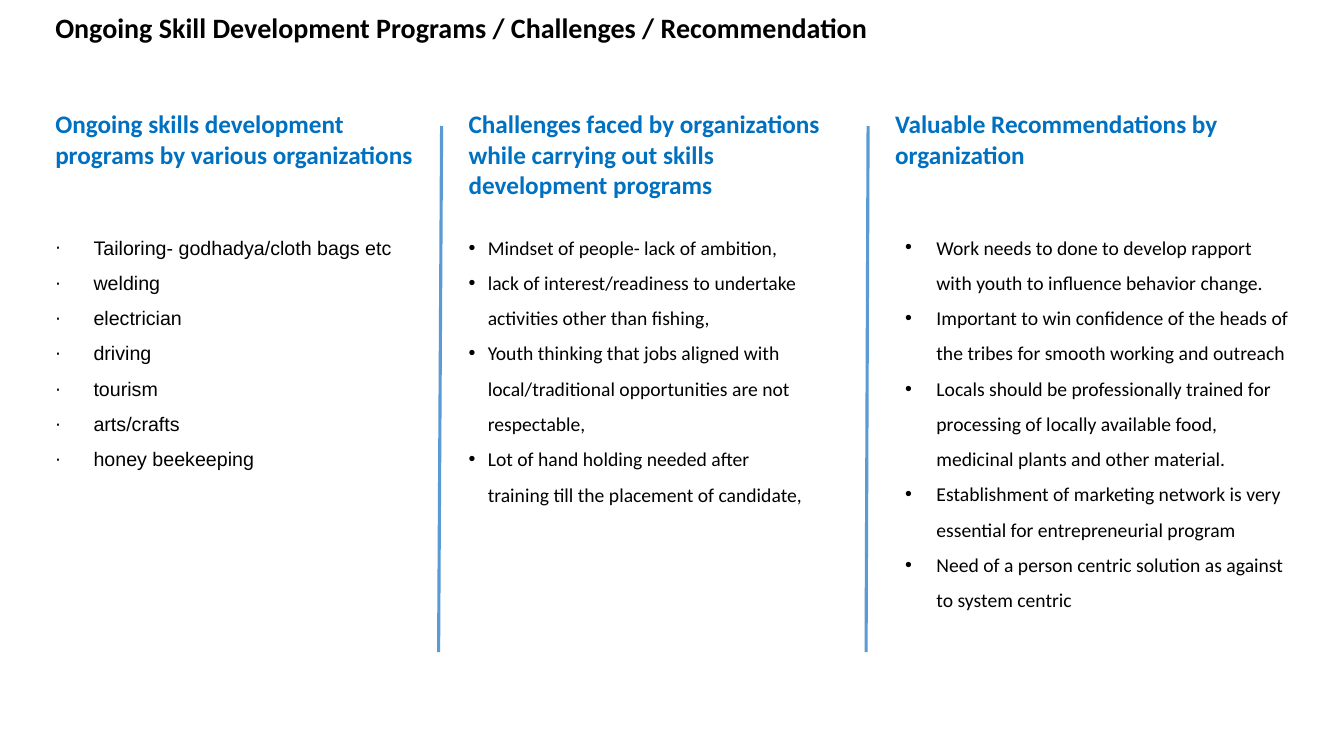
import lxml.etree
import pptx
import pptx.dml.color
import pptx.enum.shapes
import pptx.enum.text
import pptx.oxml.ns
import pptx.util

PX = 9144  # EMU in one px, 100 px to the inch
COLORS = {"text": "000000", "heading": "0070C0", "divider": "5B9BD5"}
ALIGN = pptx.enum.text.PP_ALIGN
HEADING_TOP, LIST_TOP = 103, 217
DIVIDER_TOP, DIVIDER_BOTTOM = 125, 647

COLUMNS = [
    dict(
        heading=["Ongoing skills development", "programs by various organizations"],
        heading_box=(45, HEADING_TOP, 376, 71),
        list_box=(45, LIST_TOP, 376, 364),
        items=[
            "Tailoring- godhadya/cloth bags etc",
            "welding",
            "electrician",
            "driving",
            "tourism",
            "arts/crafts",
            "honey beekeeping",
        ],
        bullet="∙", indent=38, font="Arial", align=ALIGN.JUSTIFY,
    ),
    dict(
        heading=["Challenges faced by organizations while carrying out skills development programs"],
        heading_box=(455, HEADING_TOP, 376, 101),
        list_box=(455, LIST_TOP, 356, 399),
        items=[
            "Mindset of people- lack of ambition,",
            "lack of interest/readiness to undertake activities other than fishing,",
            "Youth thinking that jobs aligned with local/traditional opportunities are not respectable,",
            "Lot of hand holding needed after training till the placement of candidate,",
        ],
        bullet="•", indent=19, font="Calibri", align=ALIGN.LEFT,
    ),
    dict(
        heading=["Valuable Recommendations by organization"],
        heading_box=(878, HEADING_TOP, 376, 71),
        list_box=(888, LIST_TOP, 400, 533),
        items=[
            "Work needs to done to develop rapport with youth to influence behavior change.",
            "Important to win confidence of the heads of the tribes for smooth working and outreach",
            "Locals should be professionally trained for processing of locally available food, "
            "medicinal plants and other material.",
            "Establishment of marketing network is very essential for entrepreneurial program",
            "Need of a person centric solution as against to system centric",
        ],
        bullet="•", indent=31, font="Calibri", align=ALIGN.LEFT,
    ),
]


def px(length):
    return pptx.util.Emu(length * PX)


def rgb(name):
    return pptx.dml.color.RGBColor.from_string(COLORS[name])


def add_text(slide, box, lines, size, color="text", font="Calibri", bold=False):
    """Add a wrapped text box with one paragraph per line; return the paragraphs."""
    frame = slide.shapes.add_textbox(*map(px, box)).text_frame
    frame.word_wrap = True
    frame.text = "\n".join(lines)
    for paragraph in frame.paragraphs:
        paragraph.font.size = pptx.util.Pt(size)
        paragraph.font.name = font
        paragraph.font.bold = bold
        paragraph.font.color.rgb = rgb(color)
    return frame.paragraphs


def set_bullet(paragraph, bullet, indent):
    """Give the paragraph a hanging bullet."""
    properties = paragraph._p.get_or_add_pPr()
    properties.set("marL", str(px(indent)))
    properties.set("indent", str(-px(indent)))
    qn = pptx.oxml.ns.qn
    bullet_color = lxml.etree.Element(qn("a:buClr"))
    lxml.etree.SubElement(bullet_color, qn("a:srgbClr"), val=COLORS["text"])
    bullet_font = lxml.etree.Element(qn("a:buFont"), typeface="Arial")
    bullet_char = lxml.etree.Element(qn("a:buChar"), char=bullet)
    # The schema wants the bullet after the spacing and before the run defaults.
    run_defaults = properties.find(qn("a:defRPr"))
    for element in (bullet_color, bullet_font, bullet_char):
        run_defaults.addprevious(element)


def add_column(slide, heading, heading_box, list_box, items, bullet, indent, font, align):
    add_text(slide, heading_box, heading, 18, color="heading", bold=True)
    for paragraph in add_text(slide, list_box, items, 14, font=font):
        paragraph.alignment = align
        paragraph.line_spacing = 1.5
        set_bullet(paragraph, bullet, indent)


def add_divider(slide, top_x, bottom_x):
    divider = slide.shapes.add_connector(
        pptx.enum.shapes.MSO_CONNECTOR.STRAIGHT,
        px(top_x), px(DIVIDER_TOP), px(bottom_x), px(DIVIDER_BOTTOM),
    )
    divider.line.color.rgb = rgb("divider")
    divider.line.width = pptx.util.Pt(2.25)
    lxml.etree.SubElement(divider._element.spPr, pptx.oxml.ns.qn("a:effectLst"))


def main():
    presentation = pptx.Presentation()
    presentation.slide_width, presentation.slide_height = px(1333), px(750)
    slide = presentation.slides.add_slide(presentation.slide_layouts[6])
    title = "Ongoing Skill Development Programs / Challenges / Recommendation"
    add_text(slide, (45, 6, 833, 44), [title], 20, bold=True)
    for column in COLUMNS:
        add_column(slide, **column)
    for top_x, bottom_x in ((438, 435), (861, 859)):
        add_divider(slide, top_x, bottom_x)
    presentation.save("out.pptx")


if __name__ == "__main__":
    main()
